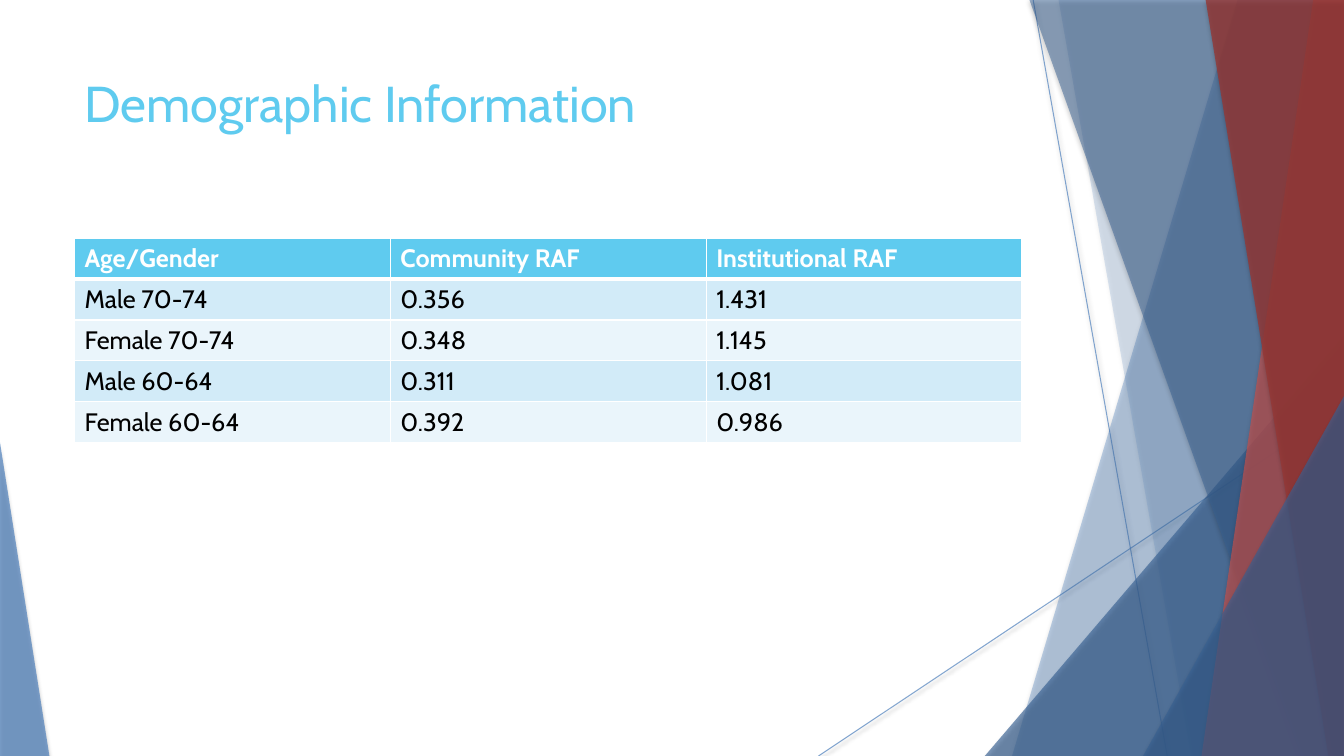
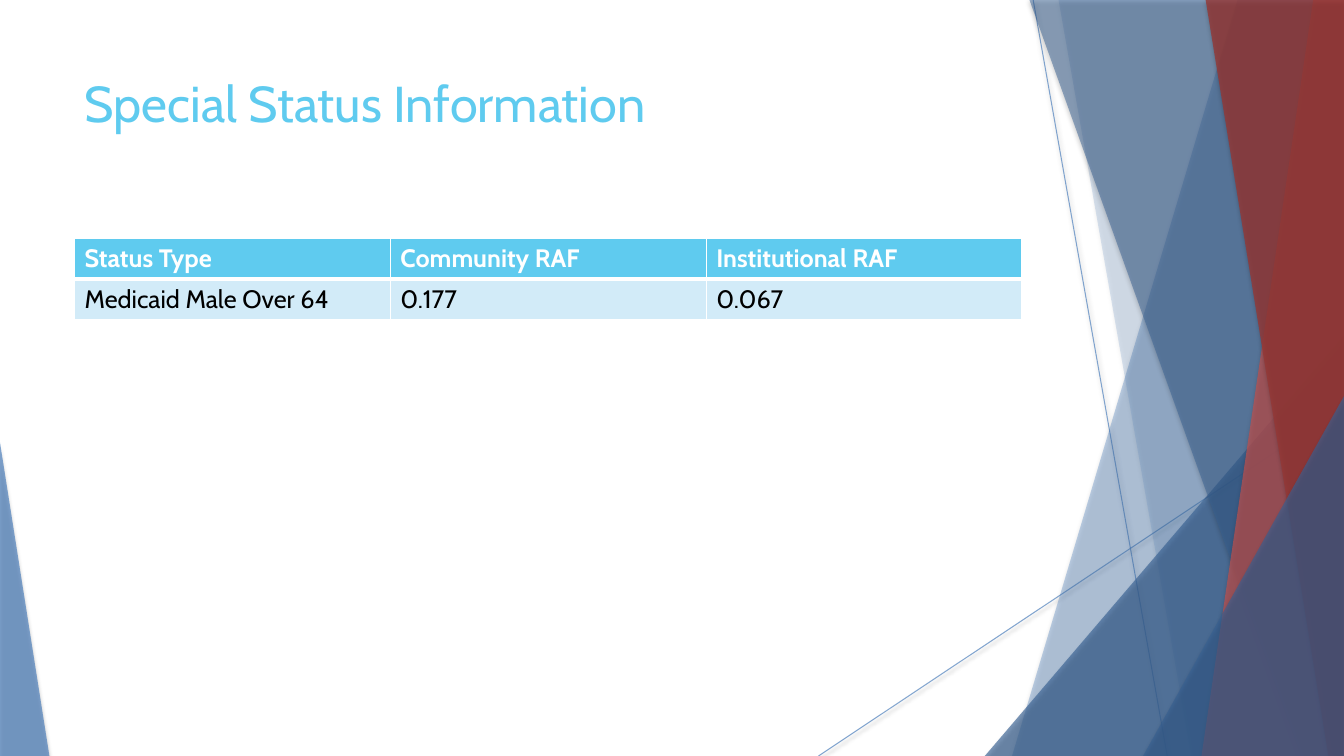
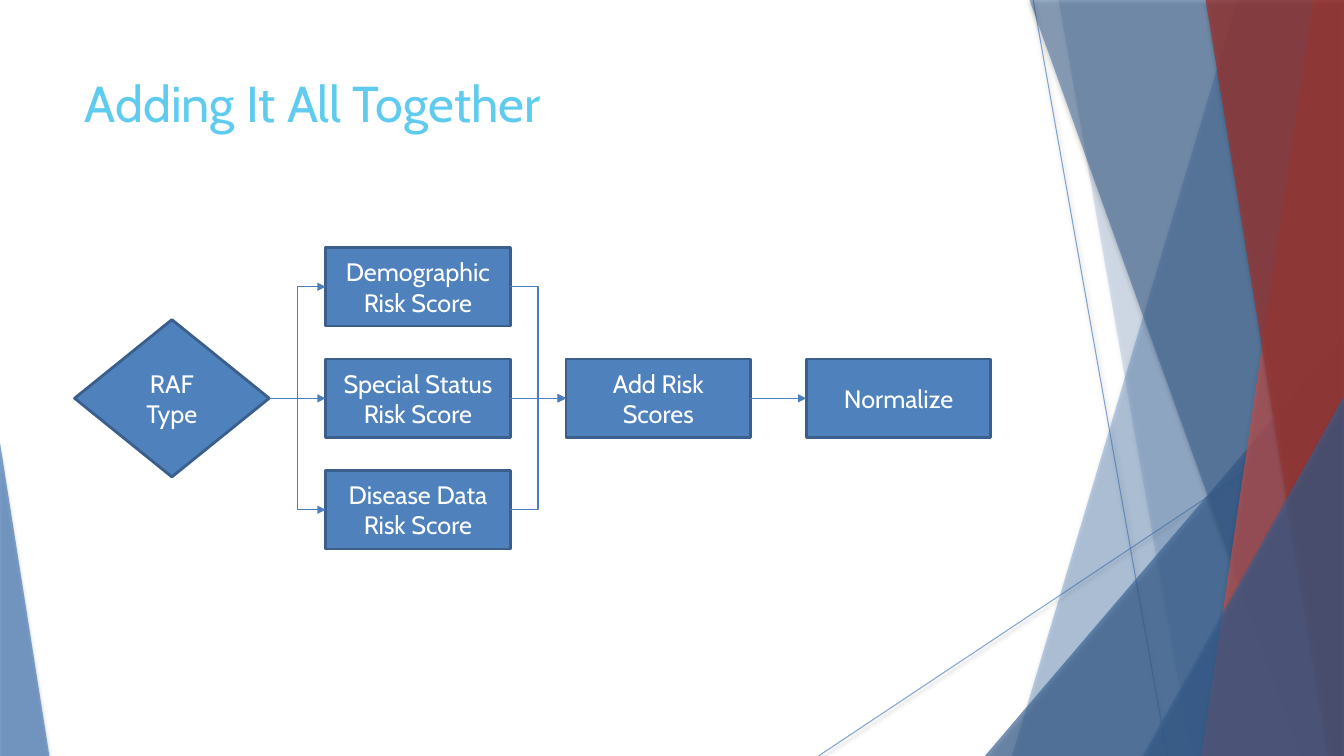
import lxml.etree
import pptx
import pptx.dml.color
import pptx.enum.shapes
import pptx.enum.text
import pptx.oxml.ns
import pptx.util

Pt = pptx.util.Pt
qn = pptx.oxml.ns.qn
SHAPES = pptx.enum.shapes.MSO_SHAPE
CONNECTORS = pptx.enum.shapes.MSO_CONNECTOR
ANCHOR = pptx.enum.text.MSO_ANCHOR
ALIGN = pptx.enum.text.PP_ALIGN
SubElement = lxml.etree.SubElement

WIDTH, HEIGHT = 960, 540
BLUE, NAVY, SKY, WHITE = "4F81BD", "376092", "5FCBEF", "FFFFFF"
LEFT, CONTENT_WIDTH = 53.3, 676.8


def paint(fill, color):
    fill.solid()
    fill.fore_color.rgb = pptx.dml.color.RGBColor.from_string(color)


def write(frame, text, color, align=ALIGN.LEFT, **formats):
    frame.text = text
    para = frame.paragraphs[0]
    para.alignment = align
    span = para.runs[0]
    paint(span.font.fill, color)
    for name, value in {"name": "Cabin", "size": Pt(18), **formats}.items():
        setattr(span.font, name, value)


deck = pptx.Presentation()
deck.slide_width, deck.slide_height = Pt(WIDTH), Pt(HEIGHT)
layout = deck.slide_layouts[5]
title, *unused = layout.placeholders
for placeholder in unused:
    placeholder.element.getparent().remove(placeholder.element)
for name, value in {"left": LEFT, "top": 48.2, "width": CONTENT_WIDTH, "height": 103.7}.items():
    setattr(title, name, Pt(value))

pages = []
for heading in ("Demographic Information", "Special Status Information", "Adding It All Together"):
    page = deck.slides.add_slide(layout)
    frame = page.shapes.title.text_frame
    write(frame, heading, SKY, size=Pt(36))
    for name, value in {
        "vertical_anchor": ANCHOR.TOP,
        "word_wrap": True,
        "auto_size": pptx.enum.text.MSO_AUTO_SIZE.NONE,
    }.items():
        setattr(frame, name, value)
    pages.append(page)
demographic_page, status_page, total_page = pages

decorations = [
    ("line", (738, 0, 833.76, HEIGHT), BLUE, 70),
    ("line", (WIDTH, 290.16, 584.64, HEIGHT), BLUE, 70),
    ("band", (884.16, 722.88), BLUE, 36),
    ("band", (756, 851.04), BLUE, 20),
    ("triangle", (703.44, 239.76, WIDTH - 703.44, 1), NAVY, 66),
    ("band", (735.12, 929.52), NAVY, 50),
    ("band", (938.16, 858.24), "C0504D", 70),
    ("band", (861.12, 948.96), "953735", 80),
    ("triangle", (816.48, 282.96, WIDTH - 816.48, 1), NAVY, 66),
    ("triangle", (0, 316.08, 35.28, 0), BLUE, 70),
]
backdrop = []
shapes = demographic_page.shapes
for kind, place, color, opacity in decorations:
    shadow_opacity, blur, distance = 35, 3, 2
    if kind == "line":
        shadow_opacity, blur, distance = 38, 3.1, 1.6
        shape = shapes.add_connector(CONNECTORS.STRAIGHT, *map(Pt, place))
        shape.line.width = Pt(0.74)
        paint(shape.line.fill, color)
    else:
        if kind == "band":
            top_x, bottom_x = place
            outline = shapes.build_freeform(Pt(top_x), Pt(-0.72))
            corners = [(WIDTH, -0.72), (WIDTH, HEIGHT), (bottom_x, HEIGHT)]
            outline.add_line_segments([(Pt(x), Pt(y)) for x, y in corners])
            shape = outline.convert_to_shape()
        else:
            x, y, width, apex = place
            shape = shapes.add_shape(
                SHAPES.ISOSCELES_TRIANGLE, Pt(x), Pt(y), Pt(width), Pt(HEIGHT - y))
            shape.adjustments[0] = apex
        paint(shape.fill, color)
        shape.line.fill.background()
    properties = shape.element.spPr
    tint = properties.find(".//" + qn("a:srgbClr"))
    SubElement(tint, qn("a:alpha"), val=str(opacity * 1000))
    effects = SubElement(properties, qn("a:effectLst"))
    shadow = SubElement(
        effects, qn("a:outerShdw"), blurRad=str(Pt(blur)), dist=str(Pt(distance)),
        dir="5400000", rotWithShape="0")
    shade = SubElement(shadow, qn("a:srgbClr"), val="000000")
    SubElement(shade, qn("a:alpha"), val=str(shadow_opacity * 1000))
    backdrop.append(shape)
for shape in backdrop:
    layout.shapes.element.append(shape.element)

ROW_HEIGHT = 29.2
tables = [
    (demographic_page, [
        ("Age/Gender", "Community RAF", "Institutional RAF"),
        ("Male 70-74", "0.356", "1.431"),
        ("Female 70-74", "0.348", "1.145"),
        ("Male 60-64", "0.311", "1.081"),
        ("Female 60-64", "0.392", "0.986"),
    ]),
    (status_page, [
        ("Status Type", "Community RAF", "Institutional RAF"),
        ("Medicaid Male Over 64", "0.177", "0.067"),
    ]),
]
for page, rows in tables:
    table = page.shapes.add_table(
        len(rows), 3, Pt(LEFT), Pt(170.2), Pt(CONTENT_WIDTH), Pt(ROW_HEIGHT * len(rows))).table
    table.horz_banding = False
    for row, texts in enumerate(rows):
        header = row == 0
        row_color = SKY if header else ("EAF5FB", "D2EBF8")[row % 2]
        borders = {
            "a:lnL": 0.96,
            "a:lnR": 0.96,
            "a:lnT": 3 if row == 1 else 0.96,
            "a:lnB": 3 if header else 0.96,
        }
        for column, text in enumerate(texts):
            cell = table.cell(row, column)
            write(cell.text_frame, text, WHITE if header else "000000", bold=header)
            for tag, thickness in borders.items():
                border = SubElement(
                    cell._tc.get_or_add_tcPr(), qn(tag), w=str(Pt(thickness)))
                border_fill = SubElement(border, qn("a:solidFill"))
                SubElement(border_fill, qn("a:srgbClr"), val=WHITE)
            paint(cell.fill, row_color)

MIDDLE = 284.5
STEP_WIDTH, STEP_HEIGHT = 131.8, 56
FIRST_STEP, COLUMN_PITCH, ROW_PITCH = 232.6, 171.7, 79.6
steps = [
    ("Demographic Risk Score", 0, -1),
    ("Special Status Risk Score", 0, 0),
    ("Disease Data Risk Score", 0, 1),
    ("Add Risk Scores", 1, 0),
    ("Normalize", 2, 0),
]
boxes = [("RAF Type", SHAPES.FLOWCHART_DECISION, LEFT, MIDDLE, 139, 112.3)]
for text, column, row in steps:
    boxes.append((text, SHAPES.FLOWCHART_PROCESS, FIRST_STEP + COLUMN_PITCH * column,
                  MIDDLE + ROW_PITCH * row, STEP_WIDTH, STEP_HEIGHT))
nodes = []
for text, preset, x, center, width, height in boxes:
    box = total_page.shapes.add_shape(
        preset, Pt(x), Pt(center - height / 2), Pt(width), Pt(height))
    box.shadow.inherit = False
    paint(box.fill, BLUE)
    paint(box.line.fill, "3A5F8C")
    box.line.width = Pt(2)
    box.text_frame.word_wrap = True
    box.text_frame.vertical_anchor = ANCHOR.MIDDLE
    write(box.text_frame, text, WHITE, ALIGN.CENTER)
    nodes.append(box)

decision, demographic, status, disease, total, normalize = nodes
scores = (demographic, status, disease)
links = [(decision, score) for score in scores]
links += [(score, total) for score in scores]
links.append((total, normalize))
LEFT_SITE, RIGHT_SITE = 1, 3
for source, target in links:
    arrow = total_page.shapes.add_connector(CONNECTORS.ELBOW, 0, 0, 0, 0)
    arrow.begin_connect(source, RIGHT_SITE)
    arrow.end_connect(target, LEFT_SITE)
    paint(arrow.line.fill, "4B7EBC")
    arrow.line.width = Pt(0.75)
    SubElement(arrow.line._get_or_add_ln(), qn("a:tailEnd"), type="triangle")
    SubElement(arrow.element.spPr, qn("a:effectLst"))

deck.save("out.pptx")
